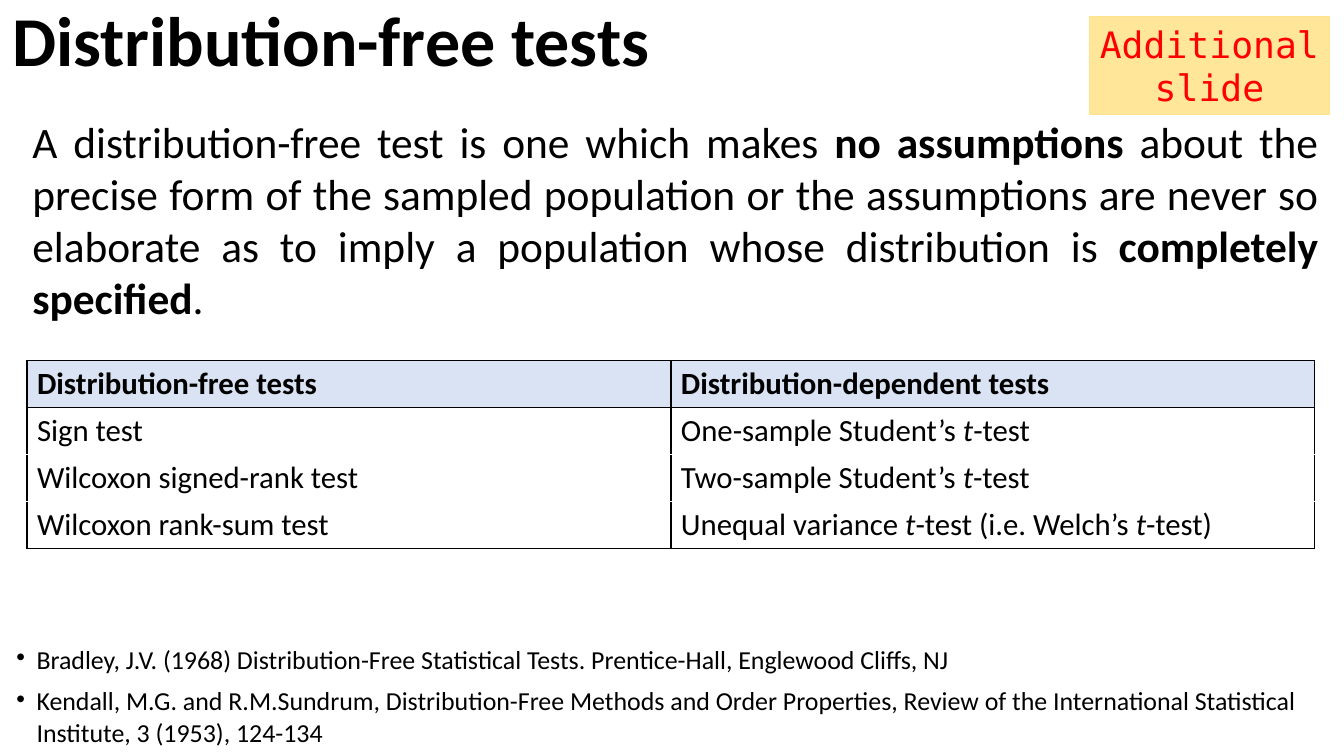
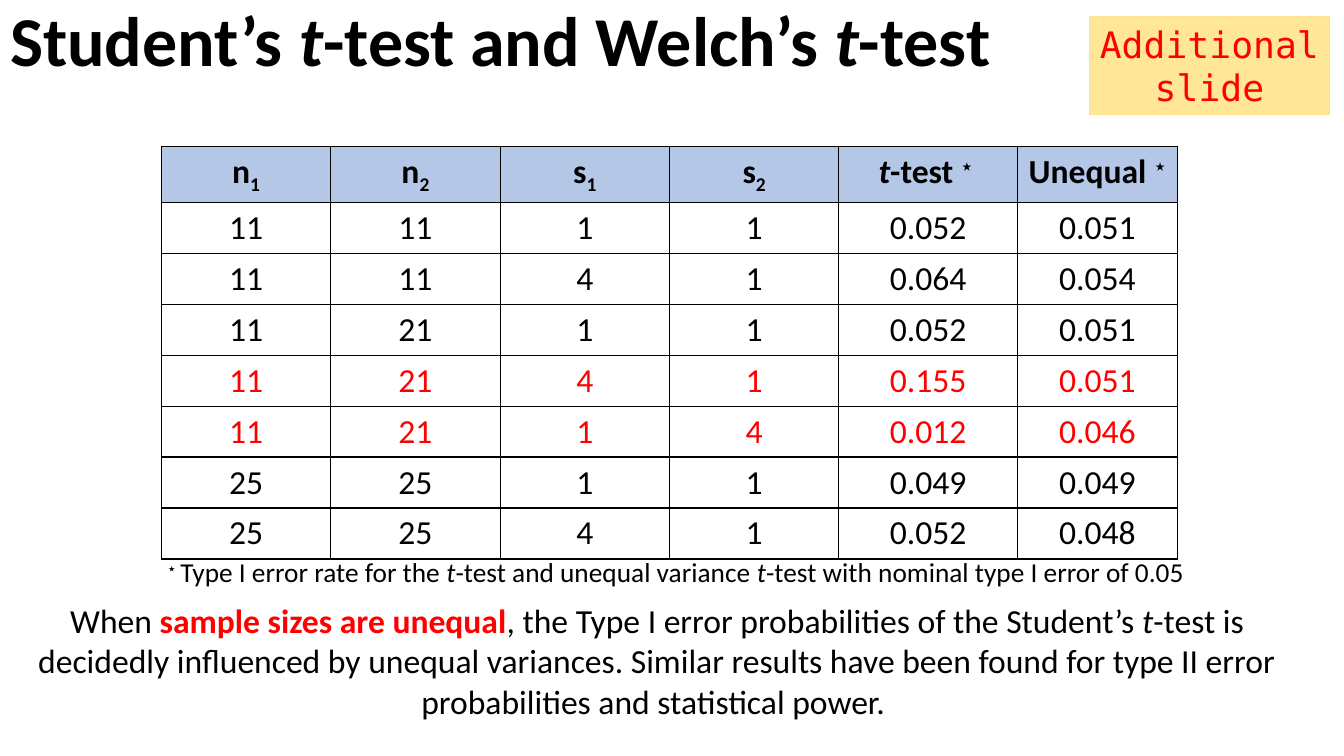
from lxml.etree import SubElement
from pptx import Presentation
from pptx.dml.color import RGBColor as RGB
from pptx.enum.shapes import MSO_SHAPE as Shape
from pptx.enum.text import MSO_ANCHOR as Anchor, PP_ALIGN as Align
from pptx.oxml import parse_xml
from pptx.oxml.ns import nsdecls, qn
from pptx.util import Pt

HUES = {"ink": "000000", "paper": "FFFFFF", "red": "FF0000", "pale": "DAE3F3",
        "blue": "B4C7E7", "tag": "FFE699", "rim": "FFE38C"}
HUES = {name: RGB.from_string(code) for name, code in HUES.items()}
SANS, MONO = "Calibri", "DejaVu Sans Mono"
T = ("t", "i")
STAR = ("⋆ ", "sup")
BASE = {"sub": "-25000", "sup": "30000"}


def write(para, parts, size, hue="ink", bold=False, align=Align.LEFT, font=SANS, bullet=False):
    """Fill a paragraph; a part is plain text or a (text, style) pair."""
    para.alignment = align
    if bullet:
        props = para._p.get_or_add_pPr()
        props.set("marL", str(Pt(14.4)))
        props.set("indent", str(-Pt(14.4)))
        SubElement(props, qn("a:buChar")).set("char", "•")
    look = para.font
    look.name, look.size, look.bold = font, Pt(size), bold
    look.color.rgb = HUES[hue]
    for part in [parts] if isinstance(parts, str) else parts:
        text, style = (part, "") if isinstance(part, str) else part
        run = para.add_run()
        run.text = text
        if style == "i":
            run.font.italic = True
        elif style in ("b", "red"):
            run.font.bold = True
            if style == "red":
                run.font.color.rgb = HUES["red"]
        elif style in BASE:
            run._r.get_or_add_rPr().set("baseline", BASE[style])


def grid(slide, x, y, widths, highs, rows, size, head=None, edge="ink", inner="ink",
         hot=(), align=Align.LEFT, bullet=False):
    """Draw a table; inner colours the rules between body rows."""
    last = len(rows) - 1
    table = slide.shapes.add_table(len(rows), len(widths), Pt(x), Pt(y),
                                   Pt(sum(widths)), Pt(sum(highs))).table
    table.first_row = table.horz_banding = False
    for col, width in zip(table.columns, widths):
        col.width = Pt(width)
    for r, row in enumerate(rows):
        table.rows[r].height = Pt(highs[r])
        top = edge if r < 2 else inner
        base = edge if r in (0, last) else inner
        for c, parts in enumerate(row):
            cell = table.cell(r, c)
            lead = head and r == 0
            cell.fill.solid()
            cell.fill.fore_color.rgb = HUES[head if lead else "paper"]
            sides = zip("LRTB", (edge, edge, top, base))
            for k, (side, hue) in enumerate(sides):
                cell._tc.get_or_add_tcPr().insert(k, parse_xml(
                    f'<a:ln{side} {nsdecls("a")} w="{Pt(1)}"><a:solidFill>'
                    f'<a:srgbClr val="{HUES[hue]}"/></a:solidFill></a:ln{side}>'))
            write(cell.text_frame.paragraphs[0], parts, size, "red" if r in hot else "ink",
                  bool(lead), align, bullet=bullet)


deck = Presentation()
deck.slide_width, deck.slide_height = Pt(960), Pt(540)

# Shared title and tag
titles = ["Distribution-free tests",
          ["Student’s ", T, "-test and Welch’s ", T, "-test"]]
slides = []
for parts, left in zip(titles, (1.5, 0)):
    slide = deck.slides.add_slide(deck.slide_layouts[5])
    title = slide.shapes.title
    title.left, title.top, title.width, title.height = Pt(left), Pt(2.5), Pt(960), Pt(57)
    title.text_frame.vertical_anchor = Anchor.MIDDLE
    para = title.text_frame.paragraphs[0]
    para.line_spacing = 0.9
    write(para, parts, 50, bold=True)

    tag = slide.shapes.add_shape(Shape.RECTANGLE, Pt(778), Pt(11.5), Pt(172), Pt(70.5))
    tag.shadow.inherit = False
    tag.fill.solid()
    tag.fill.fore_color.rgb = HUES["tag"]
    tag.line.color.rgb = HUES["rim"]
    tag.line.width = Pt(0.75)
    tag.text_frame.word_wrap = True
    write(tag.text_frame.paragraphs[0], "Additional slide", 26, "red",
          align=Align.CENTER, font=MONO)
    slides.append(slide)
free, welch = slides

# Running text: slide, box, size, alignment, parts
notes = [
    (free, (16, 78.5, 932.5, 157.5), 31, Align.JUSTIFY,
     ["A distribution-free test is one which makes ", ("no assumptions", "b"),
      " about the precise form of the sampled population or the assumptions are never so "
      "elaborate as to imply a population whose distribution is ",
      ("completely specified", "b"), "."]),
    (welch, (17.5, 425, 903.5, 94.5), 24, Align.CENTER,
     ["When ", ("sample sizes are unequal", "red"),
      ", the Type I error probabilities of the Student’s ", T,
      "-test is decidedly influenced by unequal variances. Similar results have been found "
      "for type II error probabilities and statistical power. "]),
    (welch, (98, 393, 769, 31), 19.5, Align.CENTER,
     [STAR, "Type I error rate for the ", T, "-test and unequal variance ", T,
      "-test with nominal type I error of 0.05"]),
]
for slide, box, size, align, parts in notes:
    frame = slide.shapes.add_textbox(*map(Pt, box)).text_frame
    frame.word_wrap = True
    write(frame.paragraphs[0], parts, size, align=align)

# Kinds of test
kinds = [
    ("Distribution-free tests", "Distribution-dependent tests"),
    ("Sign test", ["One-sample Student’s ", T, "-test"]),
    ("Wilcoxon signed-rank test", ["Two-sample Student’s ", T, "-test"]),
    ("Wilcoxon rank-sum test",
     ["Unequal variance ", T, "-test (i.e. Welch’s ", T, "-test)"]),
]
grid(free, 19.25, 257.5, [460] * 2, [33.6] * 4, kinds, 22, head="pale", inner="paper")

# References
works = [
    ["Bradley, J.V. (1968) Distribution-Free Statistical Tests. Prentice-Hall, "
     "Englewood Cliffs, NJ"],
    ["Kendall, M.G. and R.M.Sundrum, Distribution-Free Methods and Order Properties, "
     "Review of the International Statistical Institute, 3 (1953), 124-134"],
]
grid(free, 4.5, 457, [955.5], [29.5, 51.5], works, 18.5, edge="paper", inner="paper",
     bullet=True)

# Error rates
rates = [
    [[name, (digit, "sub")] for name in "ns" for digit in "12"]
    + [[T, "-test ", STAR], ["Unequal ", STAR]],
    ["11", "11", "1", "1", "0.052", "0.051"],
    ["11", "11", "4", "1", "0.064", "0.054"],
    ["11", "21", "1", "1", "0.052", "0.051"],
    ["11", "21", "4", "1", "0.155", "0.051"],
    ["11", "21", "1", "4", "0.012", "0.046"],
    ["25", "25", "1", "1", "0.049", "0.049"],
    ["25", "25", "4", "1", "0.052", "0.048"],
]
grid(welch, 115.25, 104.5, [121] * 4 + [127.5, 114.5], [39.3] + [36.4] * 7, rates, 24,
     head="blue", hot=(4, 5), align=Align.CENTER)

deck.save("out.pptx")
